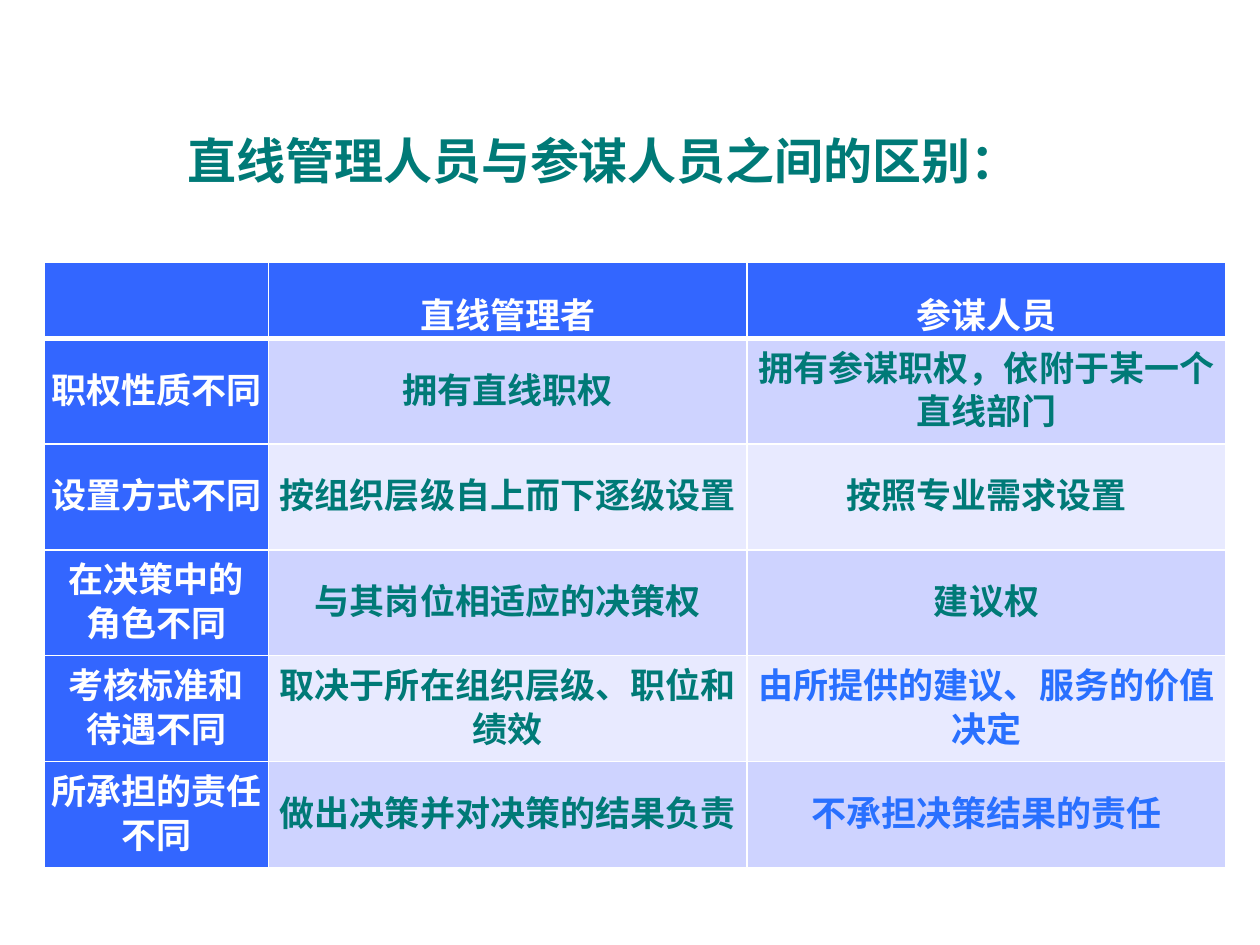
from dataclasses import dataclass

from lxml.etree import SubElement
from pptx import Presentation
from pptx.dml.color import RGBColor
from pptx.enum.text import MSO_ANCHOR, PP_ALIGN
from pptx.oxml.ns import qn
from pptx.util import Inches, Pt

TITLE = "直线管理人员与参谋人员之间的区别："
ROWS = [
    ("", "直线管理者", "参谋人员"),
    ("职权性质不同", "拥有直线职权", "拥有参谋职权，依附于某一个直线部门"),
    ("设置方式不同", "按组织层级自上而下逐级设置", "按照专业需求设置"),
    ("在决策中的\n角色不同", "与其岗位相适应的决策权", "建议权"),
    ("考核标准和\n待遇不同", "取决于所在组织层级、职位和绩效", "由所提供的建议、服务的价值决定"),
    ("所承担的责任\n不同".replace("\n", ""), "做出决策并对决策的结果负责", "不承担决策结果的责任"),
]
HIGHLIGHTED = {(4, 2), (5, 2)}
COLUMN_WIDTHS = (1.78, 3.8, 3.8)
ROW_HEIGHTS = (0.54,) + (0.84,) * 5


@dataclass(frozen=True)
class Theme:
    font: str = "Arial"
    white: str = "FFFFFF"
    header: str = "3366FF"
    bands: tuple = ("E8EAFF", "CED3FF")
    text: str = "007A77"
    highlight: str = "2970FF"
    title_size: int = 28
    cell_size: int = 20
    line_spacing: int = 25
    thin_border: int = 1
    thick_border: int = 3


THEME = Theme()


def format_runs(paragraph, size, color):
    for run in paragraph.runs:
        run.font.name = THEME.font
        run.font.size = Pt(size)
        run.font.bold = True
        run.font.color.rgb = RGBColor.from_string(color)


def add_borders(cell, row):
    properties = cell._tc.get_or_add_tcPr()
    thick_side = {0: "B", 1: "T"}.get(row)
    for side in "LRTB":
        width = THEME.thick_border if side == thick_side else THEME.thin_border
        line = SubElement(properties, qn(f"a:ln{side}"), w=str(Pt(width)))
        fill = SubElement(line, qn("a:solidFill"))
        SubElement(fill, qn("a:srgbClr"), val=THEME.white)


def cell_colors(row, column):
    if row == 0 or column == 0:
        return THEME.header, THEME.white
    color = THEME.highlight if (row, column) in HIGHLIGHTED else THEME.text
    return THEME.bands[row % 2], color


def fill_cell(cell, row, column, text):
    background, color = cell_colors(row, column)
    add_borders(cell, row)
    cell.fill.solid()
    cell.fill.fore_color.rgb = RGBColor.from_string(background)
    cell.margin_left = cell.margin_right = Inches(0.05)
    cell.margin_top = cell.margin_bottom = 0
    cell.vertical_anchor = MSO_ANCHOR.MIDDLE if row else MSO_ANCHOR.TOP
    cell.text_frame.text = text
    for paragraph in cell.text_frame.paragraphs:
        paragraph.alignment = PP_ALIGN.CENTER
        paragraph.line_spacing = Pt(THEME.line_spacing) if row else 1.5
        format_runs(paragraph, THEME.cell_size, color)


def add_comparison(slide):
    table = slide.shapes.add_table(
        len(ROWS), len(COLUMN_WIDTHS), Inches(0.35), Inches(2.08),
        Inches(sum(COLUMN_WIDTHS)), Inches(sum(ROW_HEIGHTS))).table
    for column, width in zip(table.columns, COLUMN_WIDTHS):
        column.width = Inches(width)
    for table_row, height in zip(table.rows, ROW_HEIGHTS):
        table_row.height = Inches(height)
    for row, texts in enumerate(ROWS):
        for column, text in enumerate(texts):
            fill_cell(table.cell(row, column), row, column, text)


def add_title(slide):
    box = slide.shapes.add_textbox(Inches(0.89), Inches(0.99), Inches(8.62), Inches(0.63))
    box.text_frame.word_wrap = True
    box.text_frame.text = TITLE
    paragraph = box.text_frame.paragraphs[0]
    paragraph._p.get_or_add_pPr().set("indent", str(Inches(0.5)))
    format_runs(paragraph, THEME.title_size, THEME.text)


def main():
    presentation = Presentation()
    presentation.slide_width = Inches(10)
    presentation.slide_height = Inches(7.5)
    slide = presentation.slides.add_slide(presentation.slide_layouts[6])
    add_comparison(slide)
    add_title(slide)
    presentation.save("out.pptx")


if __name__ == "__main__":
    main()
